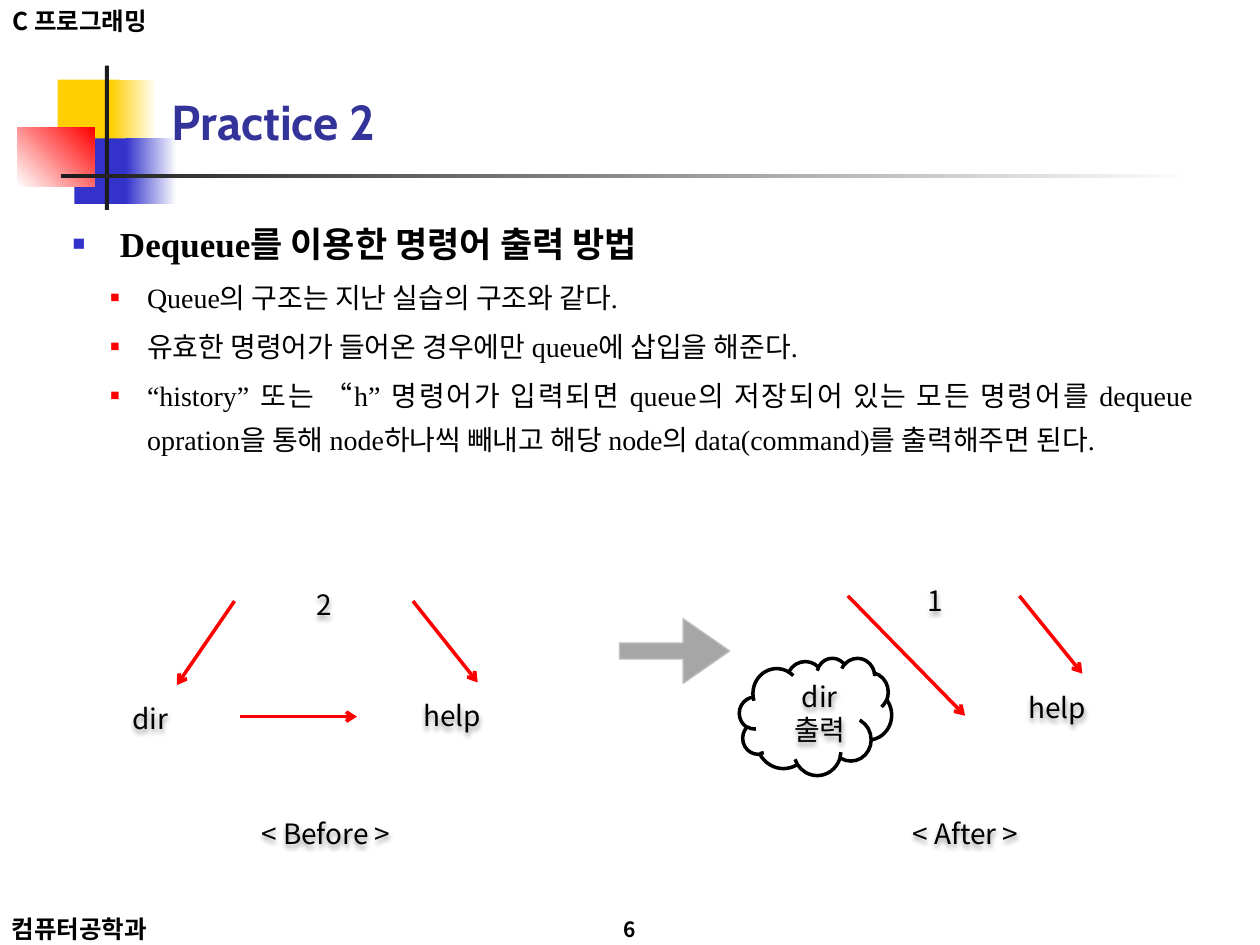
from dataclasses import dataclass

from lxml import etree
from pptx import Presentation
from pptx.dml.color import RGBColor
from pptx.enum.shapes import MSO_CONNECTOR, MSO_SHAPE
from pptx.enum.text import MSO_ANCHOR, PP_ALIGN
from pptx.oxml.ns import qn
from pptx.util import Pt

LEFT, CENTER, JUSTIFY = PP_ALIGN.LEFT, PP_ALIGN.CENTER, PP_ALIGN.JUSTIFY
MIDDLE = MSO_ANCHOR.MIDDLE
RECT, CLOUD, RIGHT_ARROW = MSO_SHAPE.RECTANGLE, MSO_SHAPE.CLOUD, MSO_SHAPE.RIGHT_ARROW
STRAIGHT = MSO_CONNECTOR.STRAIGHT
TITLE_ONLY = 5


@dataclass(frozen=True)
class Theme:
    sans: str = "Noto Sans CJK KR"
    serif: str = "Times New Roman"
    heading: str = "Cabin"
    black: str = "000000"
    white: str = "FFFFFF"
    title: str = "333399"
    yellow: str = "FFCF01"
    blue: str = "3333CC"
    red: str = "FF0000"
    bar: str = "1C1C1C"
    grey: str = "A6A6A6"
    edge: str = "BFBFBF"
    title_size: int = 28
    head_size: int = 20
    text_size: int = 16
    corner_size: int = 14
    number_size: int = 12


T = Theme()


def rgb(value):
    return RGBColor.from_string(value)


def child(parent, tag, **attrs):
    return etree.SubElement(parent, qn(tag), {k: str(v) for k, v in attrs.items()})


def style(p, size, name=T.sans, color=T.black, bold=False, align=LEFT):
    p.alignment = align
    f = p.font
    f.size, f.name, f.bold = Pt(size), name, bold
    f.color.rgb = rgb(color)
    child(p._p.pPr.find(qn("a:defRPr")), "a:ea", typeface=T.sans)


def add_shape(s, kind, box, fill=None, line=None, width=2, fade=None, angle=0):
    sp = s.shapes.add_shape(kind, *map(Pt, box))
    sp.shadow.inherit = False
    if fade:
        sp.fill.gradient()
        sp.fill.gradient_angle = angle
        for stop, color in zip(sp.fill.gradient_stops, (fill, fade)):
            stop.color.rgb = rgb(color)
    elif fill:
        sp.fill.solid()
        sp.fill.fore_color.rgb = rgb(fill)
    else:
        sp.fill.background()
    if line:
        sp.line.color.rgb = rgb(line)
        sp.line.width = Pt(width)
    else:
        sp.line.fill.background()
    return sp


def add_text(s, box, lines, size, **font):
    sp = s.shapes.add_textbox(*map(Pt, box))
    tf = sp.text_frame
    tf.word_wrap = True
    tf.text = "\n".join(lines)
    for p in tf.paragraphs:
        style(p, size, **font)
    return sp


def add_corner(s, box, text, size=T.corner_size, align=LEFT):
    sp = add_text(s, box, [text], size, bold=True, align=align)
    sp.text_frame.vertical_anchor = MIDDLE


def add_label(s, box, *lines):
    sp = add_text(s, box, lines, T.text_size, align=CENTER)
    for p in sp.text_frame.paragraphs:
        p.line_spacing = Pt(19)
    effects = child(sp._element.spPr, "a:effectLst")
    shadow = child(effects, "a:outerShdw", blurRad=Pt(3), dist=Pt(2), dir=5400000)
    child(child(shadow, "a:srgbClr", val=T.black), "a:alpha", val=40000)


def add_arrow(s, *ends):
    c = s.shapes.add_connector(STRAIGHT, *map(Pt, ends))
    c.line.color.rgb = rgb(T.red)
    c.line.width = Pt(2)
    child(c.line._get_or_add_ln(), "a:tailEnd", type="arrow")
    child(c._element.spPr, "a:effectLst")


def add_bullet(p, color, percent, margin, indent):
    pPr = p._p.get_or_add_pPr()
    pPr.set("marL", str(Pt(margin)))
    pPr.set("indent", str(Pt(-indent)))
    child(child(pPr, "a:buClr"), "a:srgbClr", val=color)
    child(pPr, "a:buSzPct", val=percent * 1000)
    child(pPr, "a:buFont", typeface=T.serif)
    child(pPr, "a:buChar", char="■")


def add_decoration(s):
    add_shape(s, RECT, (33, 45.5, 35, 37.5), T.yellow)
    add_shape(s, RECT, (63.5, 45.5, 26, 37.5), T.yellow, fade=T.white)
    add_shape(s, RECT, (42.5, 79, 33, 37.5), T.blue)
    add_shape(s, RECT, (72, 79, 29, 37.5), T.blue, fade=T.white)
    add_shape(s, RECT, (10, 73, 44, 33.5), T.white, fade=T.red, angle=45)
    add_shape(s, RECT, (60, 37.5, 2.2, 82.5), T.bar)
    add_shape(s, RECT, (35, 99.5, 648, 2.2), T.bar, fade=T.white)


def add_title(s, text):
    sp = s.shapes.title
    sp.left, sp.top, sp.width, sp.height = map(Pt, (91, 48.5, 599, 41))
    tf = sp.text_frame
    tf.text = text
    tf.vertical_anchor = MIDDLE
    style(tf.paragraphs[0], T.title_size, T.heading, T.title, True)
    sp._element.getparent().append(sp._element)


def add_body(s, head, items):
    sp = s.shapes.add_textbox(*map(Pt, (34.5, 122.5, 654, 378)))
    tf = sp.text_frame
    tf.word_wrap = True
    tf.text = "\n".join([head, *items])
    for i, p in enumerate(tf.paragraphs):
        p.line_spacing = Pt(25)
        if i:
            p.level = 1
            p.space_before = Pt(3.2)
            add_bullet(p, T.red, 55, 42.5, 21)
        else:
            add_bullet(p, T.blue, 60, 27, 27)
        style(p, T.text_size if i else T.head_size, T.serif, bold=not i, align=JUSTIFY)


def add_before(s):
    add_arrow(s, 134, 343.5, 101, 391.5)
    add_arrow(s, 236, 343.5, 273, 390)
    add_arrow(s, 137, 409.5, 204, 409.5)
    add_label(s, (54.5, 397.5, 63, 22.5), "dir")
    add_label(s, (227, 396, 63, 22.5), "help")
    add_label(s, (153.5, 332.5, 63, 22.5), "2")
    add_label(s, (126.5, 463, 119.5, 26.5), "< Before >")


def add_after(s):
    add_arrow(s, 484.5, 340.5, 551.5, 409)
    add_arrow(s, 582.5, 340.5, 618.5, 385)
    add_label(s, (574, 391, 60.5, 22), "help")
    add_label(s, (504, 330, 60.5, 26.5), "1")
    add_shape(s, CLOUD, (422.5, 376, 87, 67), line=T.black)
    add_label(s, (437, 385, 63, 46), "dir", "출력")
    add_label(s, (492, 463, 119.5, 26.5), "< After >")


def main():
    prs = Presentation()
    prs.slide_width, prs.slide_height = Pt(720), Pt(540)
    s = prs.slides.add_slide(prs.slide_layouts[TITLE_ONLY])
    add_decoration(s)
    add_corner(s, (0, 0, 120, 24), "C 프로그래밍")
    add_corner(s, (-0.5, 522, 120, 17.5), "컴퓨터공학과")
    add_title(s, "Practice 2")
    add_body(s, "Dequeue를 이용한 명령어 출력 방법", [
        "Queue의 구조는 지난 실습의 구조와 같다.",
        "유효한 명령어가 들어온 경우에만 queue에 삽입을 해준다.",
        "“history” 또는 “h” 명령어가 입력되면 queue의 저장되어 있는 모든 명령어를 "
        "dequeue opration을 통해 node하나씩 빼내고 해당 node의 data(command)를 "
        "출력해주면 된다.",
    ])
    add_corner(s, (327, 522, 66, 18), "6", T.number_size, CENTER)
    add_before(s)
    add_after(s)
    arrow = add_shape(s, RIGHT_ARROW, (354, 353.5, 63, 37), T.grey, T.edge, 0.75)
    arrow.adjustments[0], arrow.adjustments[1] = 0.25, 0.72
    prs.save("out.pptx")


if __name__ == "__main__":
    main()
